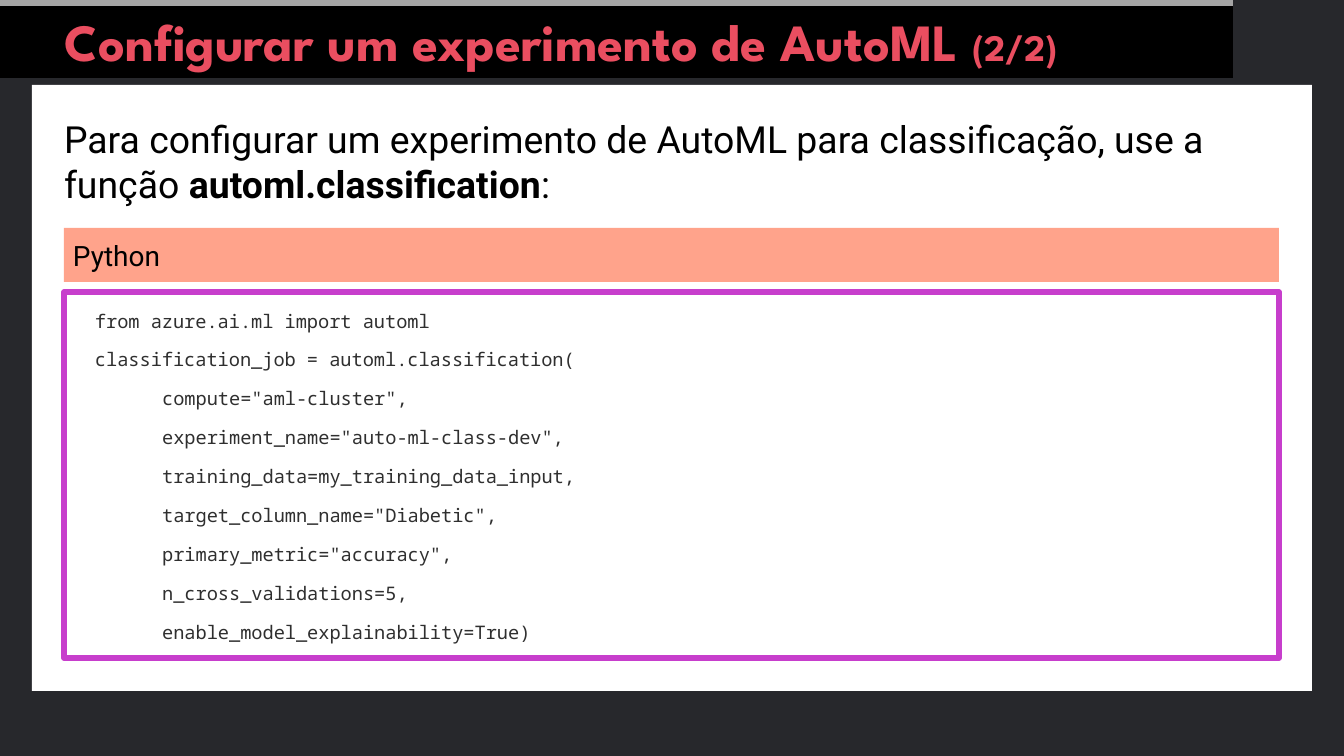
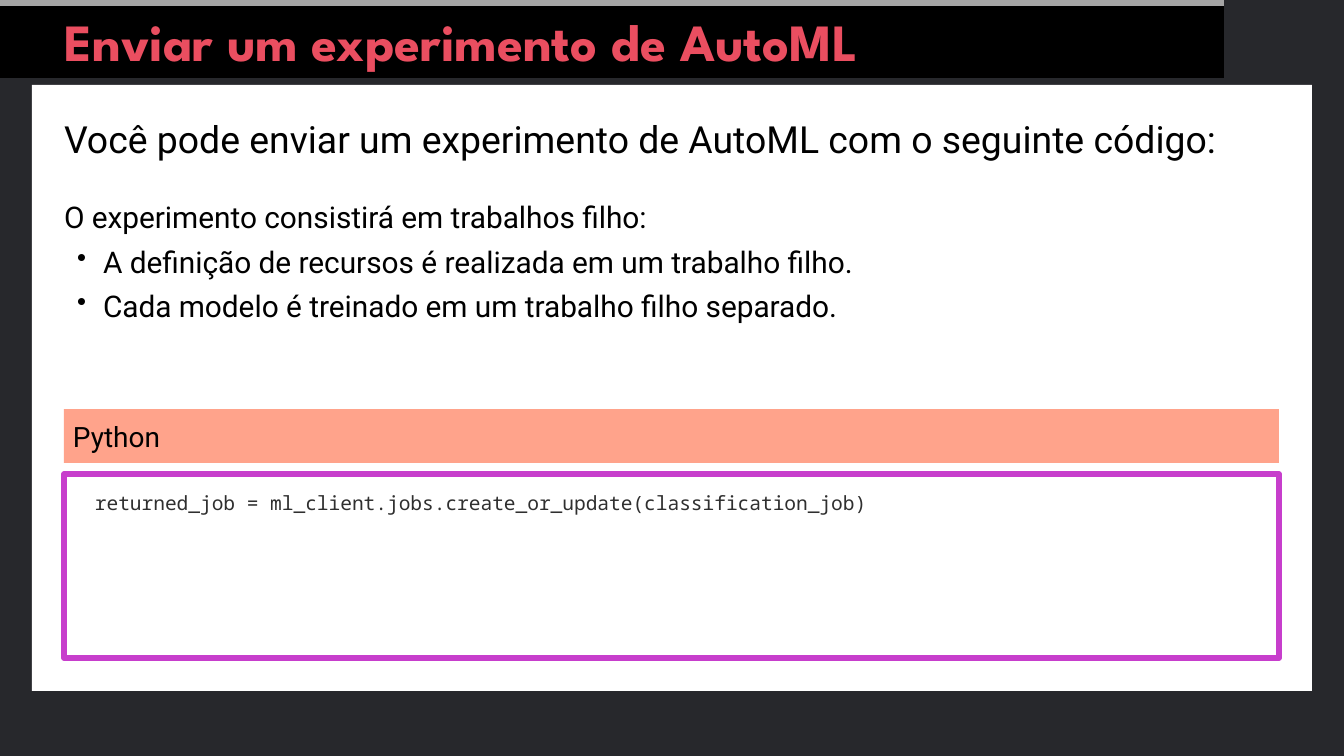
import copy
import dataclasses

import lxml.etree
import pptx
import pptx.dml.color
import pptx.enum.shapes
import pptx.enum.text
import pptx.oxml.ns
import pptx.util

EMU_PER_PX = 9144000 / 1344
LEFT = 64
WIDTH = 1215


@dataclasses.dataclass(frozen=True)
class Theme:
    background: str = "27282C"
    panel: str = "FFFFFF"
    title_band: str = "000000"
    title_edge: str = "A5A5A5"
    title: str = "EA4E60"
    text: str = "000000"
    label: str = "FFA38B"
    code: str = "2F2F2F"
    code_border: str = "C73ECC"
    title_font: str = "League Spartan"
    body_font: str = "Roboto"
    code_font: str = "Noto Sans Mono"
    title_size: float = 28
    counter_size: float = 20
    lead_size: float = 20
    list_size: float = 16
    label_size: float = 15
    code_size: float = 10


def px(length):
    return pptx.util.Emu(round(length * EMU_PER_PX))


def rgb(value):
    return pptx.dml.color.RGBColor.from_string(value)


def add_bullet(paragraph):
    properties = paragraph._p.get_or_add_pPr()
    properties.set("marL", str(px(39)))
    properties.set("indent", str(px(-26)))
    for tag, name, value in (("a:buSzPct", "val", "90000"), ("a:buChar", "char", "•")):
        element = lxml.etree.SubElement(properties, pptx.oxml.ns.qn(tag))
        element.set(name, value)


def write(shape, paragraphs, *, font, size, color, bold=False, insets=(0, 0, 0, 0),
          anchor="TOP", grow=True, before=None, after=None, spacing=None, bullets_from=None):
    """Each paragraph is a string or a list of (text, run overrides)."""
    frame = shape.text_frame
    frame.word_wrap = True
    fit = pptx.enum.text.MSO_AUTO_SIZE
    frame.auto_size = fit.SHAPE_TO_FIT_TEXT if grow else fit.NONE
    frame.vertical_anchor = pptx.enum.text.MSO_ANCHOR[anchor]
    frame.margin_left, frame.margin_top, frame.margin_right, frame.margin_bottom = map(px, insets)
    for index, content in enumerate(paragraphs):
        paragraph = frame.add_paragraph() if index else frame.paragraphs[0]
        paragraph.alignment = pptx.enum.text.PP_ALIGN.LEFT
        if before is not None:
            paragraph.space_before = pptx.util.Pt(before)
        if after is not None:
            paragraph.space_after = pptx.util.Pt(after)
        if spacing is not None:
            paragraph.line_spacing = spacing
        if bullets_from is not None and index >= bullets_from:
            add_bullet(paragraph)
        runs = [(content, {})] if isinstance(content, str) else content
        for text, overrides in runs:
            run = paragraph.add_run()
            run.text = text
            run.font.name = font
            run.font.size = pptx.util.Pt(overrides.get("size", size))
            run.font.bold = overrides.get("bold", bold)
            run.font.color.rgb = rgb(color)


class Deck:
    def __init__(self, theme):
        self.theme = theme
        self.presentation = pptx.Presentation()
        self.presentation.slide_width = px(1344)
        self.presentation.slide_height = px(756)
        self.slide = None

    def new_slide(self):
        self.slide = self.presentation.slides.add_slide(self.presentation.slide_layouts[6])
        fill = self.slide.background.fill
        fill.solid()
        fill.fore_color.rgb = rgb(self.theme.background)
        self.rectangle(32, 85, 1280, 606, fill=self.theme.panel)

    def rectangle(self, left, top, width, height, fill=None, line=None):
        shape = self.slide.shapes.add_shape(
            pptx.enum.shapes.MSO_SHAPE.RECTANGLE, px(left), px(top), px(width), px(height))
        shape.shadow.inherit = False
        if fill:
            shape.fill.solid()
            shape.fill.fore_color.rgb = rgb(fill)
        else:
            shape.fill.background()
        if line:
            shape.line.color.rgb = rgb(line)
            shape.line.width = pptx.util.Pt(3)
        else:
            shape.line.fill.background()
        return shape

    def title(self, runs, width):
        theme = self.theme
        shape = self.rectangle(0, 0, width, 78)
        # Black band with a hard grey edge along the top
        shape.fill.gradient()
        shape.fill.gradient_angle = 90
        stop_list = shape.element.spPr.find(".//" + pptx.oxml.ns.qn("a:gsLst"))
        stop_list.append(copy.deepcopy(stop_list[-1]))
        colors = (theme.title_band, theme.title_band, theme.title_edge)
        stops = list(shape.fill.gradient_stops)
        stop_list.append(copy.deepcopy(stop_list[-1]))
        stops = list(shape.fill.gradient_stops)
        for stop, position, color in zip(stops, (0, 0.92, 0.92, 1), colors + colors[-1:]):
            stop.position = position
            stop.color.rgb = rgb(color)
        write(shape, [runs], font=theme.title_font, size=theme.title_size, color=theme.title,
              bold=True, insets=(65, 9, 65, 5), before=5.6)

    def text(self, paragraphs, top, height, size, **options):
        shape = self.slide.shapes.add_textbox(px(LEFT), px(top), px(WIDTH - 1), px(height))
        write(shape, paragraphs, font=self.theme.body_font, size=size,
              color=self.theme.text, **options)

    def code(self, lines, top, height, size):
        theme = self.theme
        shape = self.rectangle(LEFT, top, WIDTH, height, line=theme.code_border)
        write(shape, lines, font=theme.code_font, size=size, color=theme.code,
              insets=(31, 20, 31, 20), grow=False, before=10, spacing=0.9)

    def label(self, text, top):
        theme = self.theme
        shape = self.rectangle(LEFT, top, WIDTH, 54, fill=theme.label)
        write(shape, [text], font=theme.body_font, size=theme.label_size, color=theme.text,
              insets=(9, 9, 9, 9), anchor="MIDDLE")


def configure_slide(deck):
    theme = deck.theme
    deck.new_slide()
    arguments = (
        'compute="aml-cluster",',
        'experiment_name="auto-ml-class-dev",',
        'training_data=my_training_data_input,',
        'target_column_name="Diabetic",',
        'primary_metric="accuracy",',
        'n_cross_validations=5,',
        'enable_model_explainability=True)',
    )
    deck.code(["from azure.ai.ml import automl",
               "classification_job = automl.classification(",
               *("\t" + argument for argument in arguments)], 292, 366, theme.code_size)
    deck.title([("Configurar um experimento de AutoML ", {}),
                ("(2/2)", {"size": theme.counter_size})], 1233)
    deck.text([[("Para configurar um experimento de AutoML para classificação, use a função ", {}),
                ("automl.classification", {"bold": True}), (":", {})]], 116, 90, theme.lead_size)
    deck.label("Python", 228)


def submit_slide(deck):
    theme = deck.theme
    deck.new_slide()
    deck.code(["returned_job = ml_client.jobs.create_or_update(classification_job)"],
              474, 184, theme.code_size + 0.5)
    deck.title([("Enviar um experimento de AutoML", {})], 1224)
    deck.text(["Você pode enviar um experimento de AutoML com o seguinte código:"],
              116, 46, theme.lead_size, after=4.5)
    deck.label("Python", 409)
    deck.text(["O experimento consistirá em trabalhos filho:",
               "A definição de recursos é realizada em um trabalho filho.",
               "Cada modelo é treinado em um trabalho filho separado."],
              199, 128, theme.list_size, after=4.5, bullets_from=1)


def main():
    deck = Deck(Theme())
    configure_slide(deck)
    submit_slide(deck)
    deck.presentation.save("out.pptx")


if __name__ == "__main__":
    main()
